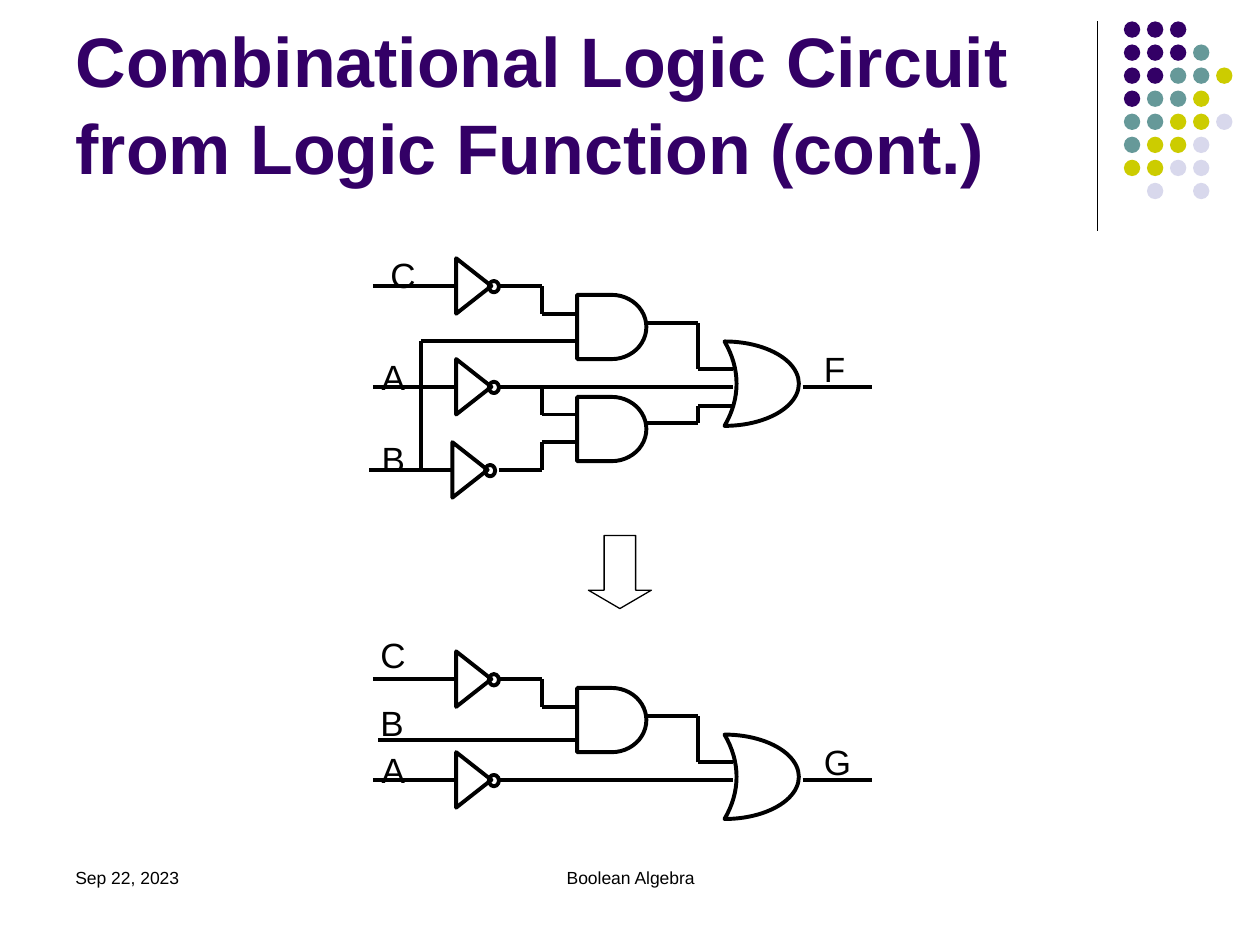
import pptx
import pptx.dml.color
import pptx.enum.shapes
import pptx.enum.text
import pptx.oxml.ns
import pptx.util
import lxml.etree

Inches = pptx.util.Inches
Shape = pptx.enum.shapes.MSO_SHAPE
Align = pptx.enum.text.PP_ALIGN
color = pptx.dml.color.RGBColor.from_string

deck = pptx.Presentation()
deck.slide_width, deck.slide_height = Inches(10), Inches(7.5)
page = deck.slides.add_slide(deck.slide_layouts[5])
shapes = page.shapes


def wire(x1, y1, x2, y2, width=2.25):
    line = shapes.add_connector(
        pptx.enum.shapes.MSO_CONNECTOR.STRAIGHT, Inches(x1), Inches(y1), Inches(x2), Inches(y2))
    line.line.color.rgb = color("000000")
    line.line.width = pptx.util.Pt(width)
    lxml.etree.SubElement(line._element.spPr, pptx.oxml.ns.qn("a:effectLst"))


def outline(kind, left, top, width, height, weight=2.25, rotation=0):
    shape = shapes.add_shape(kind, Inches(left), Inches(top), Inches(width), Inches(height))
    shape.shadow.inherit = False
    shape.fill.background()
    shape.line.color.rgb = color("000000")
    shape.line.width = pptx.util.Pt(weight)
    shape.rotation = rotation
    return shape


title = shapes.title
title_place = {"left": 0.5, "top": 0.13, "width": 8.25, "height": 1.42}
for name, value in title_place.items():
    setattr(title, name, Inches(value))
frame = title.text_frame
frame.text = "Combinational Logic Circuit\vfrom Logic Function (cont.)"
frame.word_wrap = True
frame.auto_size = pptx.enum.text.MSO_AUTO_SIZE.NONE
frame.vertical_anchor = pptx.enum.text.MSO_ANCHOR.BOTTOM
para = frame.paragraphs[0]
para.alignment = Align.LEFT
para.line_spacing = 1.04
title_format = {"name": "Arial", "size": pptx.util.Pt(40), "bold": True}
for span in para.runs:
    for name, value in title_format.items():
        setattr(span.font, name, value)
    span.font.color.rgb = color("330066")

wire(8.71, 0.17, 8.71, 1.83, 0.75)
dot_colors = {"P": "330066", "T": "669999", "Y": "CCCC00", "L": "D8D8EC"}
dot_rows = ["PPP", "PPPT", "PPTTY", "PTTY", "TTYYL", "TYYL", "YYLL", " L L"]
for row, codes in enumerate(dot_rows):
    for column, code in enumerate(codes):
        if code in dot_colors:
            dot = outline(Shape.OVAL, 8.92 + 0.183 * column, 0.17 + 0.183 * row, 0.13, 0.13)
            dot.fill.solid()
            dot.fill.fore_color.rgb = color(dot_colors[code])
            dot.line.fill.background()

lower = 3.12
for offset in (0, lower):
    for y in (2.27 + offset, 3.07 + offset):
        wire(2.96, y, 3.62, y)
        wire(3.96, y, 4.3, y)
    wire(4.3, 2.49 + offset, 4.3, 2.27 + offset, 2)
    wire(4.3, 2.49 + offset, 4.58, 2.49 + offset)
    wire(5.13, 2.56 + offset, 5.54, 2.56 + offset)
    wire(5.54, 2.93 + offset, 5.54, 2.56 + offset, 2)
    wire(5.54, 2.93 + offset, 5.82, 2.93 + offset)
    wire(4.3, 3.07 + offset, 5.82, 3.07 + offset)
    wire(6.37, 3.07 + offset, 6.92, 3.07 + offset)
    or_gate = outline(Shape.MOON, 5.75, 2.71 + offset, 0.59, 0.67, rotation=180)
    or_gate.adjustments[0] = 0.838

for x1, y1, x2, y2, width in [
    (2.93, 3.73, 3.59, 3.73, 2.25),
    (3.96, 3.73, 4.3, 3.73, 2.25),
    (4.3, 3.73, 4.3, 3.51, 2),
    (4.3, 3.51, 4.58, 3.51, 2.25),
    (4.3, 3.29, 4.3, 3.07, 2),
    (4.3, 3.29, 4.58, 3.29, 2.25),
    (3.34, 3.73, 3.34, 2.71, 2),
    (3.34, 2.71, 4.58, 2.71, 2.25),
    (5.13, 3.36, 5.54, 3.36, 2.25),
    (5.54, 3.36, 5.54, 3.22, 2),
    (5.54, 3.22, 5.82, 3.22, 2.25),
    (3, 5.87, 4.58, 5.87, 2.25),
]:
    wire(x1, y1, x2, y2, width)

inverters = [(3.54, 2.27), (3.54, 3.07), (3.51, 3.73), (3.54, 2.27 + lower), (3.54, 3.07 + lower)]
for left, middle in inverters:
    outline(Shape.ISOSCELES_TRIANGLE, left, middle - 0.14, 0.44, 0.28, rotation=90)
    outline(Shape.OVAL, left + 0.34, middle - 0.04, 0.08, 0.09)

for top in (2.34, 3.15, 2.34 + lower):
    outline(Shape.FLOWCHART_DELAY, 4.58, top, 0.55, 0.51)

arrow = outline(Shape.DOWN_ARROW, 4.67, 4.25, 0.5, 0.58, 0.75)
arrow.adjustments[0], arrow.adjustments[1] = 0.5, 0.292

labels = [
    ("C", 3, 1.96), ("A", 2.93, 2.77), ("B", 2.93, 3.42), ("F", 6.44, 2.71),
    ("C", 2.92, 4.98), ("B", 2.92, 5.52), ("A", 2.93, 5.89), ("G", 6.44, 5.83),
]
texts = [(text, left, top, 0.41, 0.43, 20, Align.LEFT) for text, left, top in labels]
texts += [
    ("Sep 22, 2023", 0.5, 6.83, 2.33, 0.5, 10, Align.LEFT),
    ("Boolean Algebra", 3.42, 6.83, 3.17, 0.5, 10, Align.CENTER),
]
for text, left, top, width, height, size, alignment in texts:
    box = shapes.add_textbox(Inches(left), Inches(top), Inches(width), Inches(height))
    box.text_frame.word_wrap = True
    para = box.text_frame.paragraphs[0]
    para.alignment = alignment
    span = para.add_run()
    span.text = text
    span.font.name = "Arial"
    span.font.size = pptx.util.Pt(size)
    span.font.color.rgb = color("000000")

deck.save("out.pptx")
